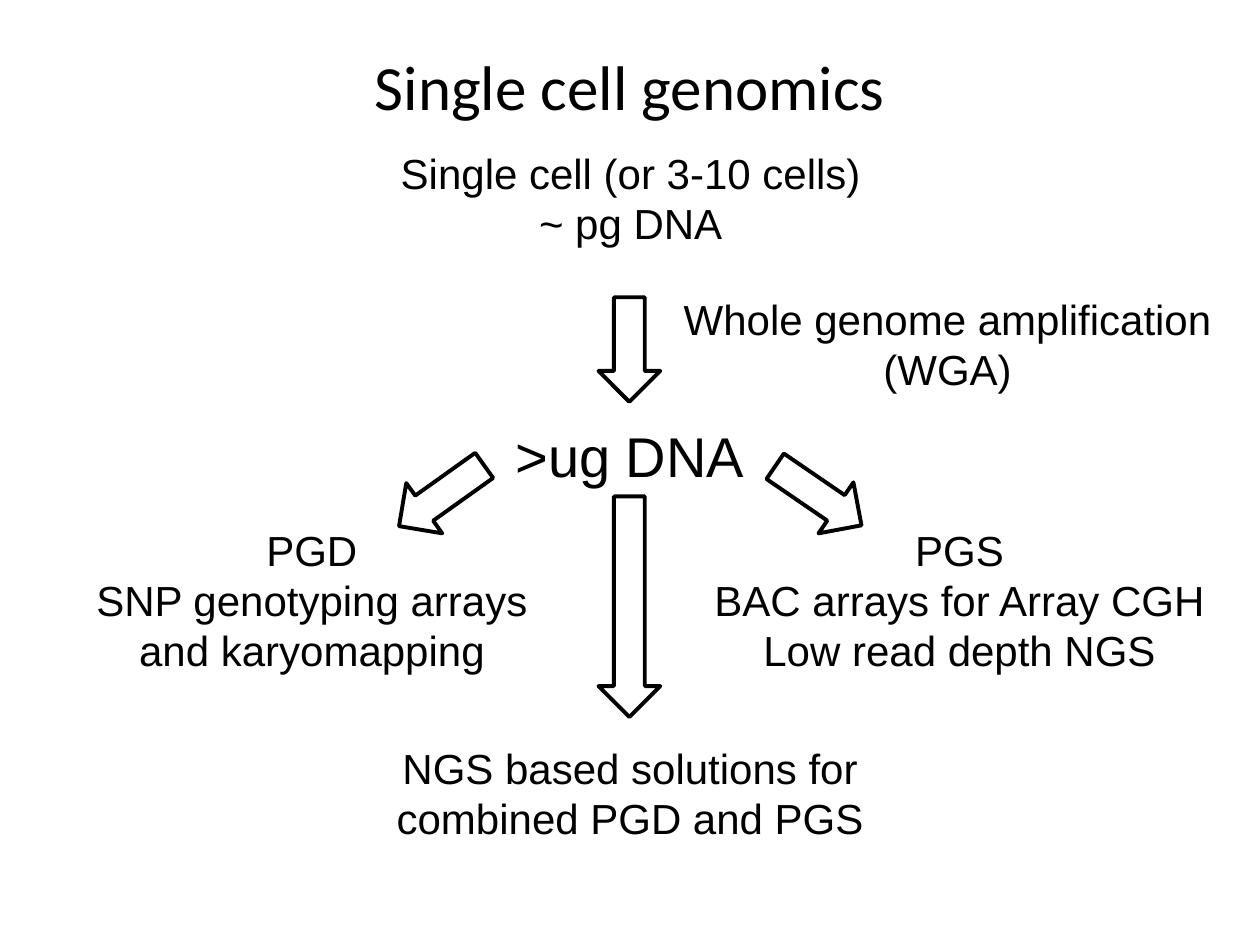
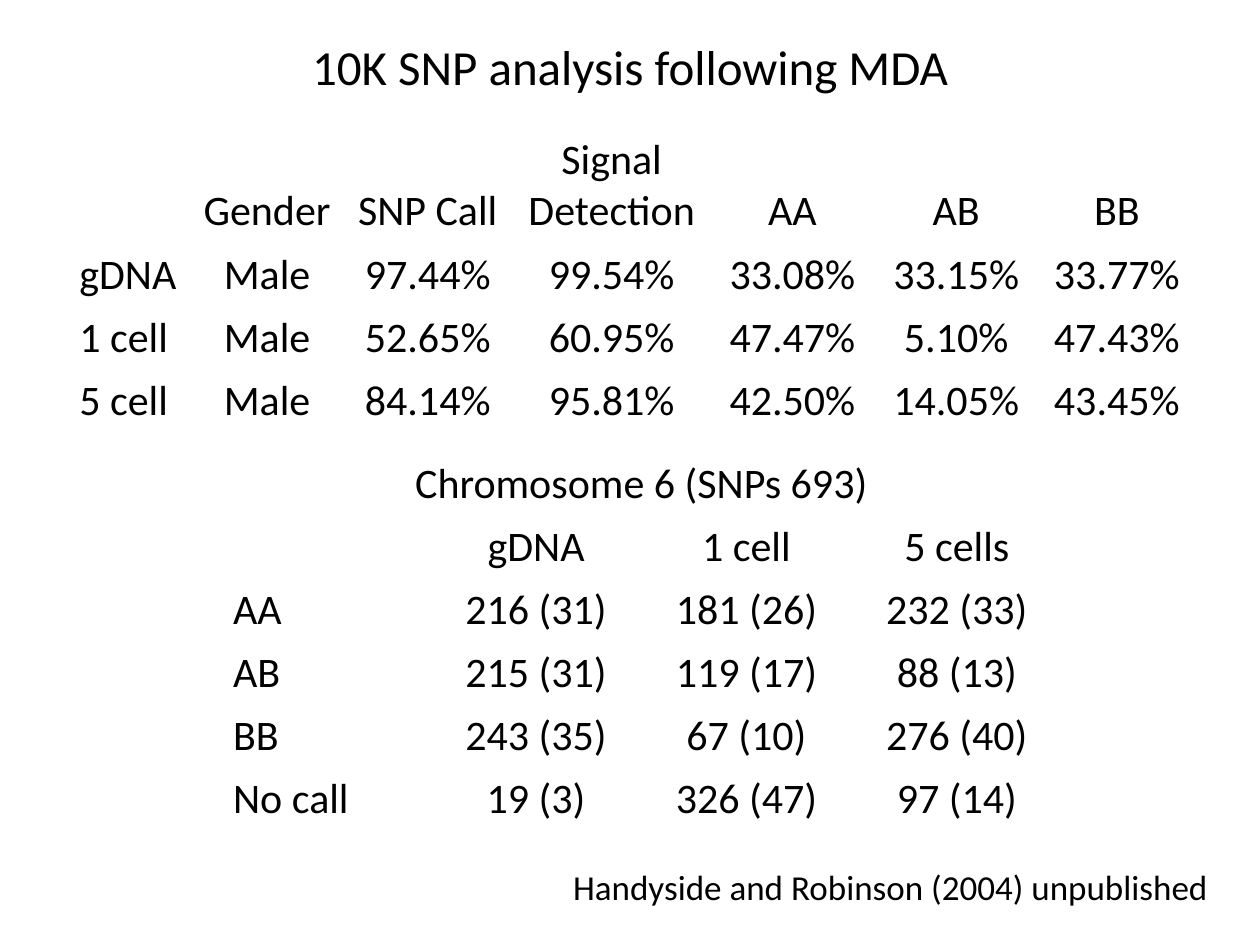
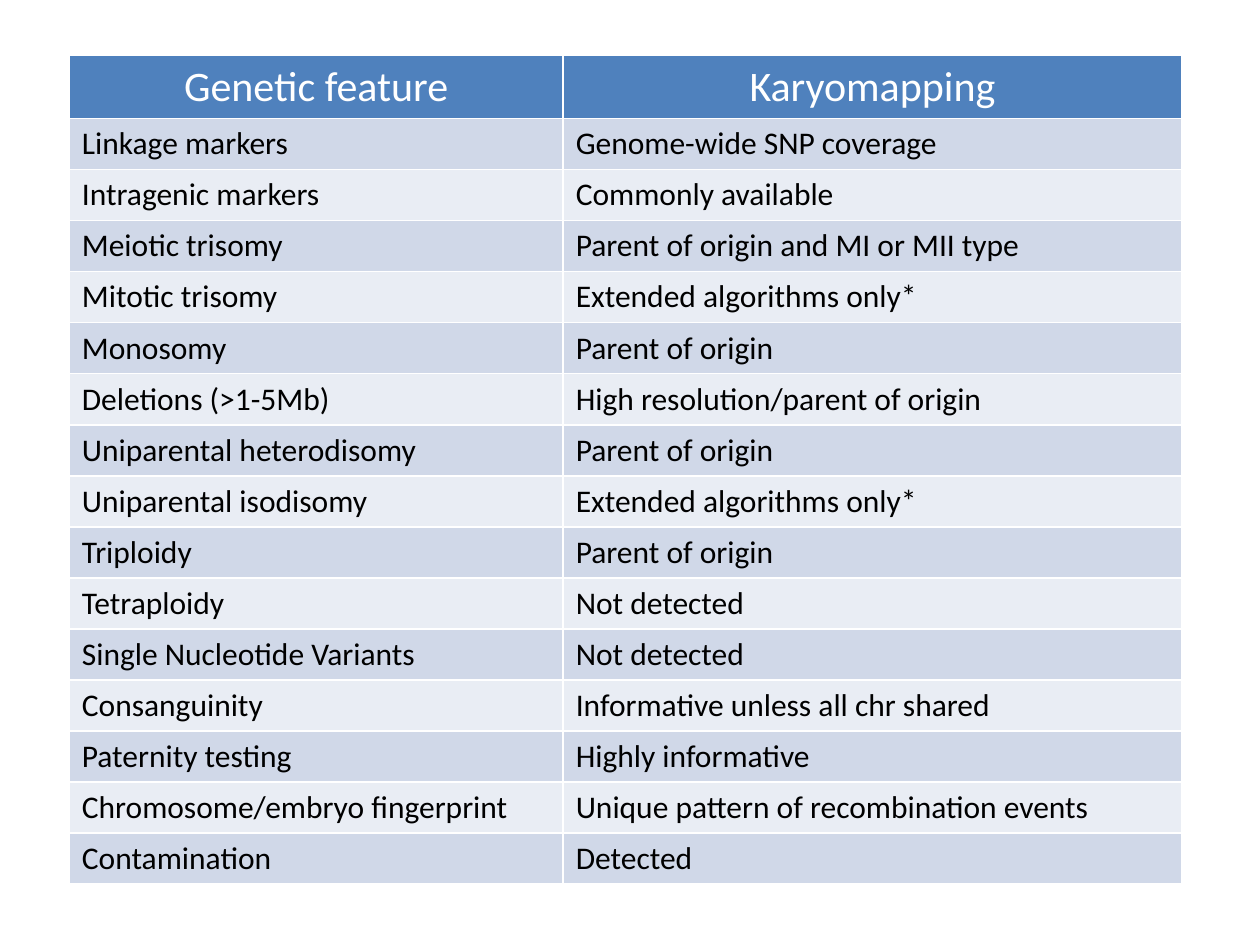
from lxml import etree
from pptx import Presentation
from pptx.dml.color import RGBColor
from pptx.enum.shapes import MSO_SHAPE
from pptx.enum.text import MSO_ANCHOR, MSO_AUTO_SIZE, PP_ALIGN
from pptx.oxml.ns import qn
from pptx.util import Inches, Pt

DOWN_ARROW = MSO_SHAPE.DOWN_ARROW
LEFT, CENTER = PP_ALIGN.LEFT, PP_ALIGN.CENTER
TOP, MIDDLE, BOTTOM = MSO_ANCHOR.TOP, MSO_ANCHOR.MIDDLE, MSO_ANCHOR.BOTTOM
GROW, FIXED = MSO_AUTO_SIZE.SHAPE_TO_FIT_TEXT, MSO_AUTO_SIZE.NONE

COLORS = {
    "ink": "000000",
    "white": "FFFFFF",
    "header": "4F81BD",
    "band_dark": "D0D8E8",
    "band_light": "E9EDF4",
}
HEADING_FONT = "Calibri"
BODY_FONT = "Arial"


def color(name):
    return RGBColor.from_string(COLORS[name])


class SlideBuilder:
    def __init__(self, deck):
        self.deck = deck
        self.page = None

    def new_page(self):
        self.page = self.deck.slides.add_slide(self.deck.slide_layouts[6])

    def add_words(self, para, words, size, font, align=CENTER):
        para.alignment = align
        span = para.add_run()
        span.text = words
        span.font.size = Pt(size)
        span.font.name = font
        span.font.bold = False
        span.font.color.rgb = color("ink")

    def text(self, frame, lines, size=24, font=BODY_FONT, align=CENTER, wrap=True):
        box = self.page.shapes.add_textbox(*map(Inches, frame))
        body = box.text_frame
        body.word_wrap = wrap
        body.auto_size = GROW
        for index, line in enumerate(lines):
            para = body.add_paragraph() if index else body.paragraphs[0]
            self.add_words(para, line, size, font, align)
        return box

    def title(self, frame, words, size):
        body = self.text(frame, [words], size, HEADING_FONT).text_frame
        body.auto_size = FIXED
        body.vertical_anchor = MIDDLE

    def arrow(self, left, top, height=0.83, rotation=0):
        shape = self.page.shapes.add_shape(
            DOWN_ARROW, Inches(left), Inches(top), Inches(0.49), Inches(height))
        shape.rotation = rotation
        shape.shadow.inherit = False
        shape.fill.background()
        shape.line.color.rgb = color("ink")
        shape.line.width = Pt(2.25)

    def table(self, left, top, widths, heights, rows, anchor=TOP):
        """Add a plain table: first column left, the others centred."""
        grid = self.page.shapes.add_table(
            len(rows), len(widths), Inches(left), Inches(top),
            Inches(sum(widths)), Inches(sum(heights))).table
        grid.first_row = grid.horz_banding = False
        for column, width in zip(grid.columns, widths):
            column.width = Inches(width)
        for row, height in zip(grid.rows, heights):
            row.height = Inches(height)
        for row_index, row in enumerate(rows):
            for column_index, words in enumerate(row):
                cell = grid.cell(row_index, column_index)
                cell.fill.background()
                cell.vertical_anchor = anchor
                if words:
                    self.add_words(cell.text_frame.paragraphs[0], words, 24, HEADING_FONT,
                                   CENTER if column_index else LEFT)
        return grid

    def band_table(self, grid):
        """Give a table a coloured header, two-tone bands and white rules."""
        for row_index, row in enumerate(grid.rows):
            band = "band_dark" if row_index % 2 else "band_light"
            for cell in row.cells:
                para = cell.text_frame.paragraphs[0]
                font = para.runs[0].font
                if row_index == 0:
                    para.alignment = CENTER
                    font.color.rgb = color("white")
                else:
                    para.alignment = LEFT
                    font.size = Pt(18)
                self.border(cell)
                cell.fill.solid()
                cell.fill.fore_color.rgb = color(band if row_index else "header")

    def border(self, cell):
        properties = cell._tc.get_or_add_tcPr()
        for index, side in enumerate(("a:lnL", "a:lnR", "a:lnT", "a:lnB")):
            line = etree.Element(qn(side), w=str(Pt(1)))
            fill = etree.SubElement(line, qn("a:solidFill"))
            etree.SubElement(fill, qn("a:srgbClr"), val=COLORS["white"])
            properties.insert(index, line)


def genomics_slide(builder):
    builder.new_page()
    builder.title((0.75, 0.24, 8.5, 0.88), "Single cell genomics", 36)
    builder.text((3.06, 1.12, 3.89, 0.91),
                 ["Single cell (or 3-10 cells)", "~ pg DNA"], wrap=False)
    builder.arrow(4.75, 2.36)
    builder.text((3.98, 3.3, 2.04, 0.64), [">ug DNA"], 32, wrap=False)
    builder.text((5.06, 2.28, 4.92, 0.91), ["Whole genome amplification (WGA)"])
    builder.arrow(3.26, 3.52, rotation=54.5)
    builder.arrow(6.25, 3.52, rotation=304.4)
    builder.text((0.53, 4.11, 3.89, 1.31),
                 ["PGD", "SNP genotyping arrays", "and karyomapping"])
    builder.text((5.49, 4.11, 4.25, 1.31),
                 ["PGS", "BAC arrays for Array CGH", "Low read depth NGS"])
    builder.arrow(4.75, 3.94, height=1.75)
    builder.text((2.74, 5.84, 4.52, 0.91),
                 ["NGS based solutions for combined PGD and PGS"])


def snp_slide(builder):
    builder.new_page()
    builder.title((1.26, 0.21, 7.48, 0.63), "10K SNP analysis following MDA", 28)
    call_rates = [
        ("", "Gender", "SNP Call", "Signal Detection", "AA", "AB", "BB"),
        ("gDNA", "Male", "97.44%", "99.54%", "33.08%", "33.15%", "33.77%"),
        ("1 cell", "Male", "52.65%", "60.95%", "47.47%", "5.10%", "47.43%"),
        ("5 cell", "Male", "84.14%", "95.81%", "42.50%", "14.05%", "43.45%"),
    ]
    builder.table(0.53, 0.99, (0.98, 1.22, 1.33, 1.59, 1.28, 1.32, 1.23),
                  [0.94] + [0.5] * 3, call_rates, BOTTOM)
    chromosome_calls = [
        ("Chromosome 6 (SNPs 693)", "", "", ""),
        ("", "gDNA", "1 cell", "5 cells"),
        ("AA", "216 (31)", "181 (26)", "232 (33)"),
        ("AB", "215 (31)", "119 (17)", "88 (13)"),
        ("BB", "243 (35)", "67 (10)", "276 (40)"),
        ("No call", "19 (3)", "326 (47)", "97 (14)"),
    ]
    grid = builder.table(1.75, 3.59, [1.67] * 4, [0.5] * 6, chromosome_calls)
    heading = grid.cell(0, 0)
    heading.merge(grid.cell(0, 3))
    heading.vertical_anchor = MIDDLE
    heading.text_frame.paragraphs[0].alignment = CENTER
    builder.text((4.45, 6.82, 5.28, 0.44), ["Handyside and Robinson (2004) unpublished"],
                 20, HEADING_FONT, LEFT, wrap=False)


def karyomapping_slide(builder):
    builder.new_page()
    features = [
        ("Genetic feature", "Karyomapping"),
        ("Linkage markers", "Genome-wide SNP coverage"),
        ("Intragenic markers", "Commonly available"),
        ("Meiotic trisomy", "Parent of origin and MI or MII type"),
        ("Mitotic trisomy", "Extended algorithms only*"),
        ("Monosomy", "Parent of origin"),
        ("Deletions (>1-5Mb)", "High resolution/parent of origin"),
        ("Uniparental heterodisomy", "Parent of origin"),
        ("Uniparental isodisomy", "Extended algorithms only*"),
        ("Triploidy", "Parent of origin"),
        ("Tetraploidy", "Not detected"),
        ("Single Nucleotide Variants", "Not detected"),
        ("Consanguinity", "Informative unless all chr shared"),
        ("Paternity testing", "Highly informative"),
        ("Chromosome/embryo fingerprint", "Unique pattern of recombination events"),
        ("Contamination", "Detected"),
    ]
    header_height, table_height = 0.5, 6.58
    feature_count = len(features) - 1
    row_height = (table_height - header_height) / feature_count
    heights = [header_height] + [row_height] * feature_count
    builder.band_table(builder.table(0.55, 0.44, (3.92, 4.91), heights, features))


def main():
    deck = Presentation()
    deck.slide_width, deck.slide_height = Inches(10), Inches(7.5)
    builder = SlideBuilder(deck)
    genomics_slide(builder)
    snp_slide(builder)
    karyomapping_slide(builder)
    deck.save("out.pptx")


if __name__ == "__main__":
    main()
